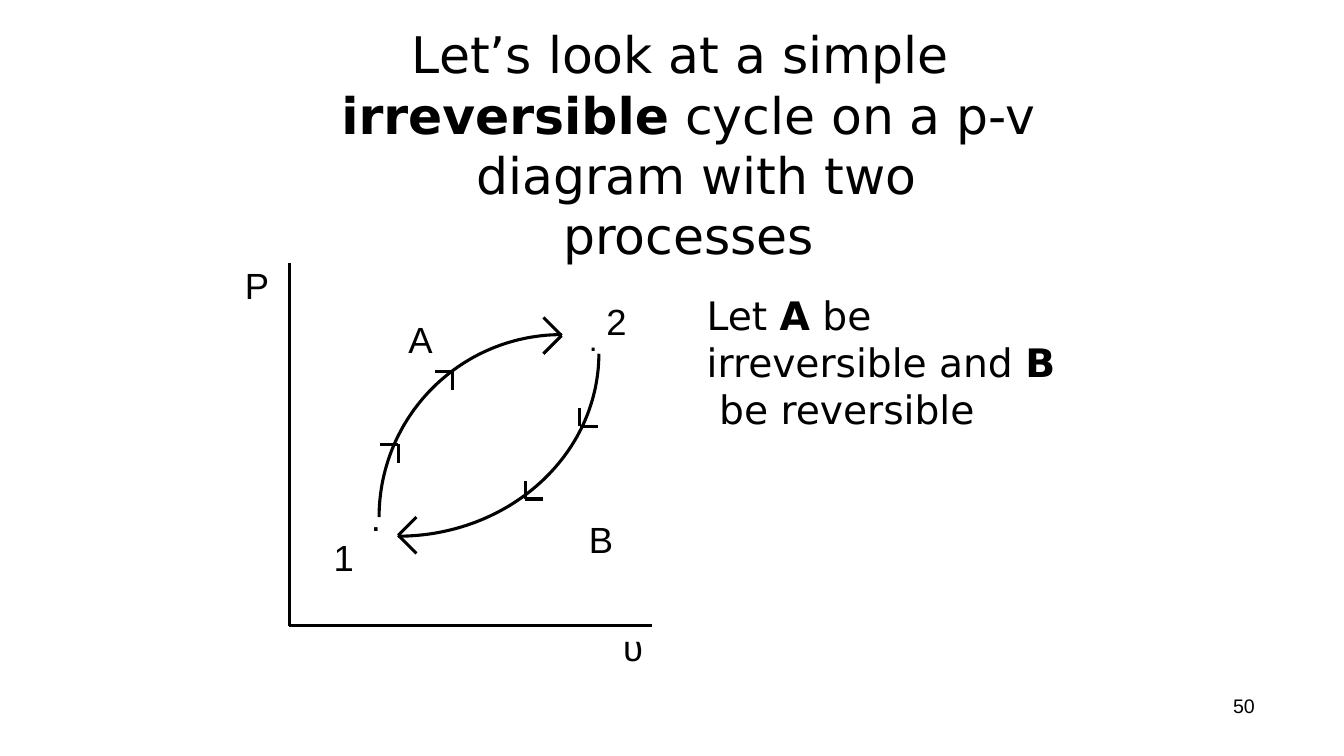
import math
from pptx import Presentation, util as u
from pptx.dml.color import RGBColor
from pptx.enum import text

THEME = {
    "ink": RGBColor(0, 0, 0),
    "prose": "DejaVu Sans",
    "plain": "Arial",
    "title": 36, "body": 28, "label": 26, "point": 39, "number": 14,
    "line": 2.2,
}
LEFT, CENTER, RIGHT = (text.PP_ALIGN.LEFT, text.PP_ALIGN.CENTER, text.PP_ALIGN.RIGHT)

TITLE = [
    [("Let’s look at a simple ", False)],
    [("irreversible", True), (" cycle on a p-v", False)],
    [(" diagram with two processes", False)],
]
BODY = [
    [("Let ", False), ("A", True), (" be", False)],
    [("irreversible and ", False), ("B", True)],
    [(" be reversible", False)],
]
LABELS = [
    ("P", 2.43, 2.6),
    ("υ", 6.18, 6.19),
    ("A", 4.05, 3.14),
    ("B", 5.84, 5.12),
]
NUMBER = "50"

AXES = [[(2.87, 2.61), (2.87, 6.21)], [(2.87, 6.21), (6.47, 6.21)]]
ARCS = [
    ((3.95, 3.51), (1.99, 1.81), 0),
    ((5.57, 5.13), (1.81, 1.81), 180),
]
ARC_STEPS = 60
BARB = 0.18
UP_RIGHT = ((-1, 0), (0, 1))
DOWN_LEFT = ((1, 0), (0, -1))
TO_RIGHT = ((-1, -1), (-1, 1))
TO_LEFT = ((1, -1), (1, 1))
OUTWARD_ARROWS = [
    ((3.95, 4.41), UP_RIGHT),
    ((4.49, 3.69), UP_RIGHT),
    ((5.57, 3.33), TO_RIGHT),
]
UPPER_RETURN_ARROW = ((5.75, 4.23), DOWN_LEFT)
LOWER_RETURN_ARROWS = [
    ((5.21, 4.95), DOWN_LEFT),
    ((3.95, 5.31), TO_LEFT),
]


def add_box(page, left, top, width, height):
    box = page.shapes.add_textbox(*map(u.Inches, (left, top, width, height)))
    frame = box.text_frame
    frame.word_wrap = True
    frame.margin_left = frame.margin_right = frame.margin_bottom = 0
    frame.margin_top = u.Inches(0.01)
    return frame


def style(para, font, size, align=LEFT):
    para.alignment = align
    para.font.name = THEME[font]
    para.font.size = u.Pt(THEME[size])
    para.font.color.rgb = THEME["ink"]


def add_prose(page, place, lines, size, align=LEFT):
    para = add_box(page, *place).paragraphs[0]
    style(para, "prose", size, align)
    for index, line in enumerate(lines):
        if index:
            para.add_line_break()
        for words, bold in line:
            span = para.add_run()
            span.text = words
            span.font.bold = bold


def add_label(page, words, place, size="label"):
    para = add_box(page, *place).paragraphs[0]
    para.text = words
    style(para, "plain", size)


def add_state_one(page):
    frame = add_box(page, 3.31, 4.94, 0.47, 0.82)
    for para, words, align in (
        (frame.paragraphs[0], ".", RIGHT),
        (frame.add_paragraph(), "1", LEFT),
    ):
        para.text = words
        para.line_spacing = u.Pt(28.6)
        style(para, "plain", "label", align)


def add_state_two(page):
    para = add_box(page, 5.84, 2.78, 0.43, 0.46).paragraphs[0]
    style(para, "plain", "label")
    dot, digit = para.add_run(), para.add_run()
    dot.text, digit.text = ". ", "2"
    dot.font.size = u.Pt(THEME["point"])
    dot.font._element.set("baseline", "-28000")


def add_strokes(page, strokes):
    strokes = [[(u.Inches(x), u.Inches(y)) for x, y in stroke] for stroke in strokes]
    builder = page.shapes.build_freeform(*strokes[0][0])
    for index, (start, *rest) in enumerate(strokes):
        if index:
            builder.move_to(*start)
        builder.add_line_segments(rest, close=False)
    drawing = builder.convert_to_shape()
    drawing.fill.background()
    drawing.line.color.rgb = THEME["ink"]
    drawing.line.width = u.Pt(THEME["line"])
    drawing.shadow.inherit = False


def arc_points(center, radii, start):
    angles = [math.radians(start + 90 * step / ARC_STEPS) for step in range(ARC_STEPS + 1)]
    return [
        (center[0] + radii[0] * math.cos(angle), center[1] + radii[1] * math.sin(angle))
        for angle in angles
    ]


def arrow_barbs(tip, barbs):
    return [[tip, (tip[0] + BARB * x, tip[1] + BARB * y)] for x, y in barbs]


def all_barbs(arrows):
    return [barb for arrow in arrows for barb in arrow_barbs(*arrow)]


def add_cycle(page):
    level, upright = arrow_barbs(*UPPER_RETURN_ARROW)
    arcs = [arc_points(*arc) for arc in ARCS]
    add_strokes(page, arcs + all_barbs(OUTWARD_ARROWS) + [level])
    add_strokes(page, [upright])
    add_strokes(page, all_barbs(LOWER_RETURN_ARROWS))


def main():
    deck = Presentation()
    deck.slide_width, deck.slide_height = u.Inches(13.33), u.Inches(7.5)
    page = deck.slides.add_slide(deck.slide_layouts[6])

    add_prose(page, (3.31, 0.22, 7.04, 1.83), TITLE, "title", CENTER)
    add_strokes(page, AXES)
    for words, left, top in LABELS:
        add_label(page, words, (left, top, 0.27, 0.46))
    add_state_one(page)
    add_state_two(page)
    add_cycle(page)
    add_prose(page, (7.01, 2.88, 3.5, 1.43), BODY, "body")
    add_label(page, NUMBER, (12.23, 6.87, 0.4, 0.22), "number")
    deck.save("out.pptx")


if __name__ == "__main__":
    main()
